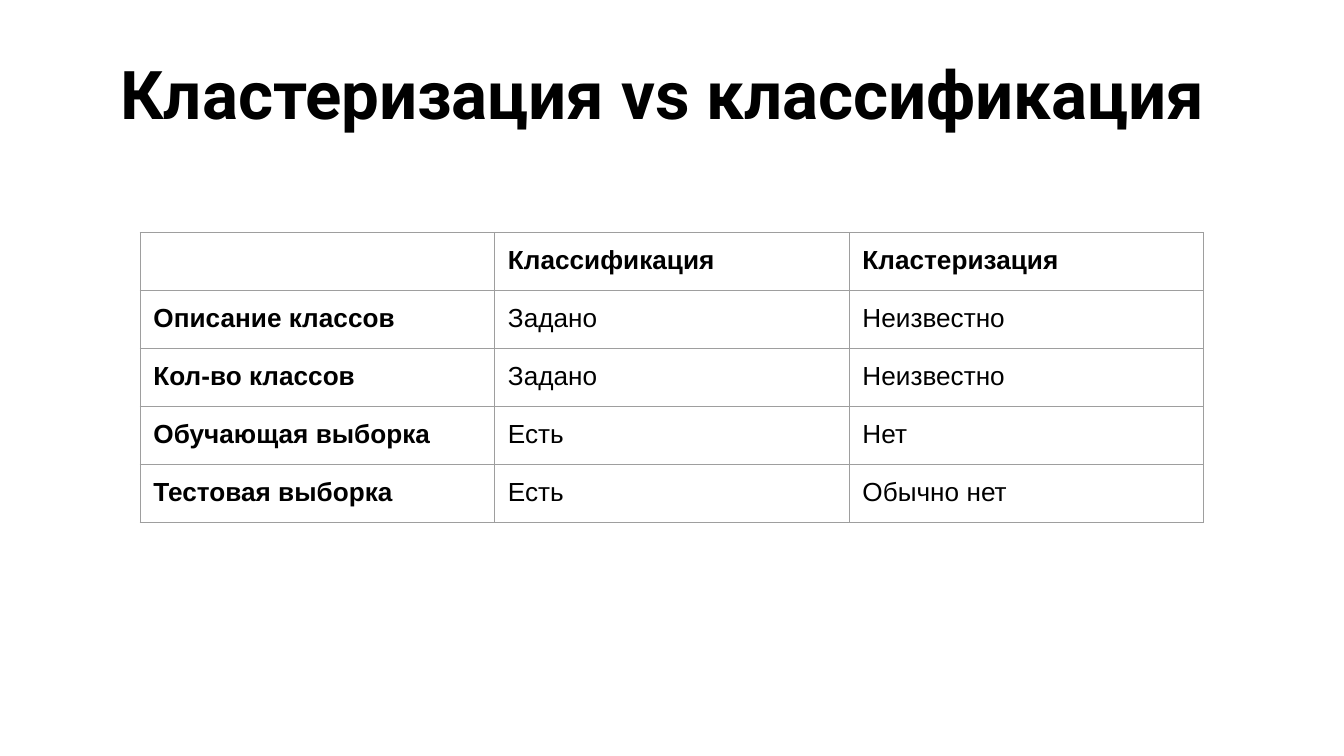
from lxml import etree
from pptx import Presentation
from pptx.dml.color import RGBColor
from pptx.enum.text import MSO_ANCHOR
from pptx.oxml.ns import qn
from pptx.util import Cm, Pt

TOP = MSO_ANCHOR.TOP

TITLE = "Кластеризация vs классификация"
ROWS = [
    ("", "Классификация", "Кластеризация"),
    ("Описание классов", "Задано", "Неизвестно"),
    ("Кол-во классов", "Задано", "Неизвестно"),
    ("Обучающая выборка", "Есть", "Нет"),
    ("Тестовая выборка", "Есть", "Обычно нет"),
]
COLORS = {"text": "000000", "border": "9E9E9E"}
INSET = Cm(0.25)
COLUMN_WIDTH, ROW_HEIGHT = Cm(6.7), Cm(1.06)
CELL_SIZE = Pt(14)


def add_text(para, text, font_name, size, bold):
    span = para.add_run()
    span.text = text
    span.font.name = font_name
    span.font.size = size
    span.font.bold = bold
    span.font.color.rgb = RGBColor.from_string(COLORS["text"])


def set_insets(target):
    target.margin_left = target.margin_right = INSET
    target.margin_top = target.margin_bottom = INSET
    target.vertical_anchor = TOP


def add_borders(cell):
    properties = cell._tc.get_or_add_tcPr()
    for position, side in enumerate(("a:lnL", "a:lnR", "a:lnT", "a:lnB")):
        line = etree.Element(qn(side), w=str(Pt(0.75)))
        fill = etree.SubElement(line, qn("a:solidFill"))
        etree.SubElement(fill, qn("a:srgbClr"), val=COLORS["border"])
        properties.insert(position, line)


deck = Presentation()
deck.slide_width, deck.slide_height = Cm(25.4), Cm(14.29)
page = deck.slides.add_slide(deck.slide_layouts[6])

# Title with a hanging indent
box = page.shapes.add_textbox(Cm(1.4), Cm(0.91), Cm(23.67), Cm(3.05))
frame = box.text_frame
frame.word_wrap = True
set_insets(frame)
para = frame.paragraphs[0]
para.line_spacing = 0.9
indents = para._p.get_or_add_pPr()
indents.set("marL", str(Cm(1.27)))
indents.set("indent", str(-Cm(0.64)))
add_text(para, TITLE, "Roboto", Pt(36), True)

# Comparison table
row_count, column_count = len(ROWS), len(ROWS[0])
table = page.shapes.add_table(
    row_count, column_count, Cm(2.65), Cm(4.4),
    COLUMN_WIDTH * column_count, ROW_HEIGHT * row_count).table
table.first_row = table.horz_banding = False
for column in table.columns:
    column.width = COLUMN_WIDTH
for row in table.rows:
    row.height = ROW_HEIGHT

# Headings stand in the first row and the first column
for row_index, texts in enumerate(ROWS):
    for column_index, text in enumerate(texts):
        cell = table.cell(row_index, column_index)
        set_insets(cell)
        cell.fill.background()
        add_borders(cell)
        para = cell.text_frame.paragraphs[0]
        if text:
            heading = row_index == 0 or column_index == 0
            add_text(para, text, "Arial", CELL_SIZE, heading)
        else:
            ending = etree.SubElement(para._p, qn("a:endParaRPr"))
            ending.set("sz", str(int(CELL_SIZE.pt * 100)))

deck.save("out.pptx")
